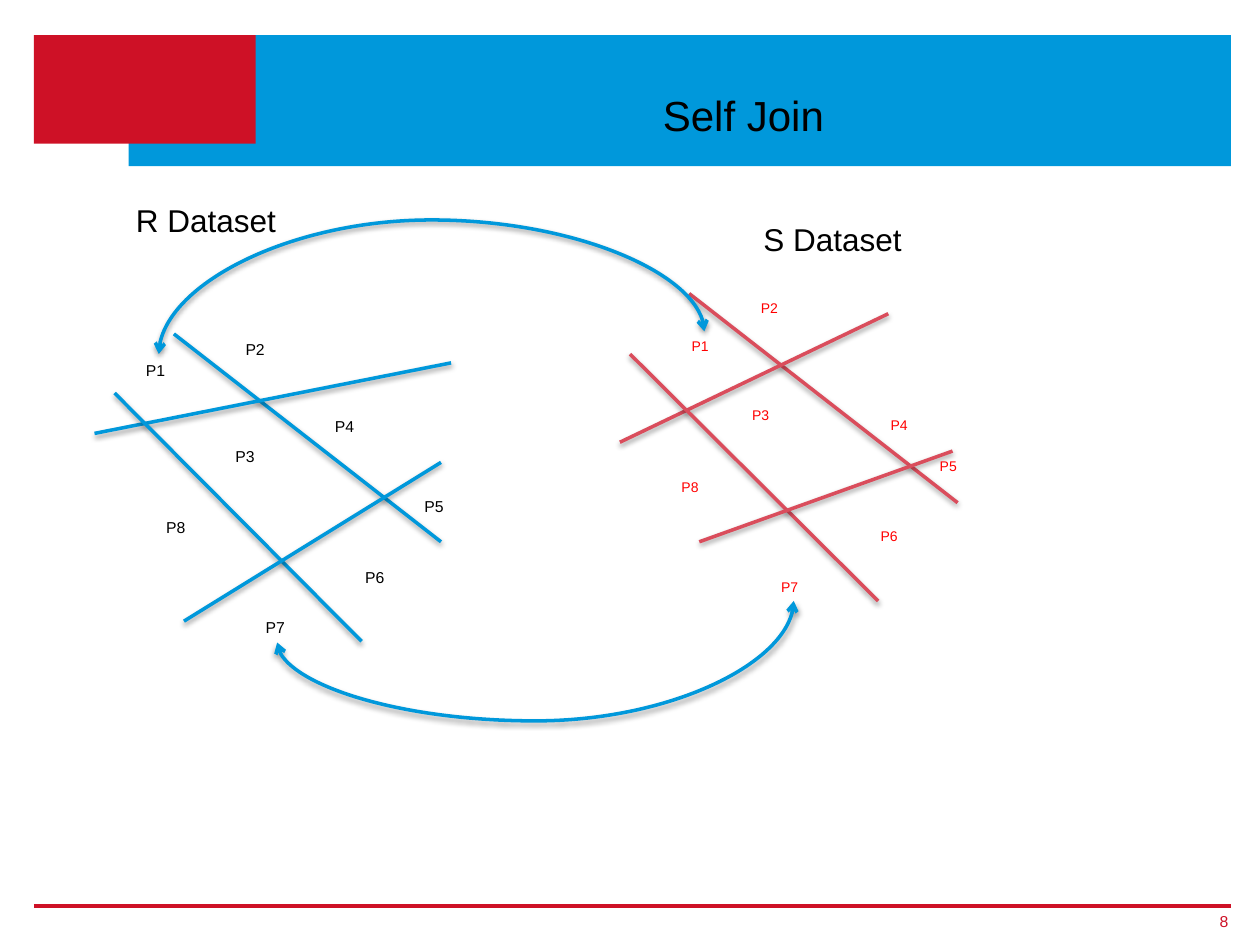
import pptx
import pptx.dml.color
import pptx.enum.shapes
import pptx.enum.text
import pptx.oxml
import pptx.oxml.ns
import pptx.util
from pptx.util import Inches

COLORS = {"blue": "0098DB", "red": "CE1126", "rose": "DA4D5C",
          "label_red": "FF0000", "black": "000000"}
ALIGN = pptx.enum.text.PP_ALIGN
ANCHOR = pptx.enum.text.MSO_ANCHOR
CONNECTOR = pptx.enum.shapes.MSO_CONNECTOR
NS = pptx.oxml.ns.nsdecls("a")
SOFT_SHADOW = (f'<a:effectLst {NS}><a:outerShdw blurRad="40000" dist="20000" dir="5400000" '
               'rotWithShape="0"><a:srgbClr val="000000"><a:alpha val="38000"/></a:srgbClr>'
               '</a:outerShdw></a:effectLst>')
NO_SHADOW = f"<a:effectLst {NS}/>"


def write(box, text, size, color="black", align=ALIGN.LEFT, anchor=ANCHOR.TOP,
          wrap=True, grow=True, margins=True):
    frame = box.text_frame
    frame.text = text
    frame.word_wrap = wrap
    frame.vertical_anchor = anchor
    fit = pptx.enum.text.MSO_AUTO_SIZE
    frame.auto_size = fit.SHAPE_TO_FIT_TEXT if grow else fit.NONE
    if not margins:
        frame.margin_left = frame.margin_right = frame.margin_top = frame.margin_bottom = 0
    paragraph = frame.paragraphs[0]
    paragraph.alignment = align
    font = paragraph.runs[0].font
    font.name = "Arial"
    font.size = pptx.util.Pt(size)
    font.color.rgb = pptx.dml.color.RGBColor.from_string(COLORS[color])
    return paragraph


def draw_line(shapes, start, end, color, width=2, kind=CONNECTOR.STRAIGHT, effect=SOFT_SHADOW):
    line = shapes.add_connector(kind, *(Inches(v) for v in (*start, *end)))
    line.line.color.rgb = pptx.dml.color.RGBColor.from_string(COLORS[color])
    line.line.width = pptx.util.Pt(width)
    line._element.spPr.append(pptx.oxml.parse_xml(effect))
    return line


prs = pptx.Presentation()
prs.slide_width, prs.slide_height = Inches(10), Inches(7.5)
slide = prs.slides.add_slide(prs.slide_layouts[5])
shapes = slide.shapes

# Header bands, footer rule, title and page number
header_bands = [((1.02, 0.28, 8.75, 1.04), "blue"), ((0.27, 0.28, 1.76, 0.86), "red")]
for place, color in header_bands:
    band = shapes.add_shape(pptx.enum.shapes.MSO_SHAPE.RECTANGLE, *map(Inches, place))
    band.shadow.inherit = False
    band.fill.solid()
    band.fill.fore_color.rgb = pptx.dml.color.RGBColor.from_string(COLORS[color])
    band.line.fill.background()
draw_line(shapes, (0.27, 7.19), (9.77, 7.19), "red", width=2.25, effect=NO_SHADOW)

title = shapes.title
title.left, title.top, title.width, title.height = map(Inches, (2.05, 0.47, 7.7, 0.69))
heading = write(title, "Self Join", 24, align=ALIGN.CENTER, anchor=ANCHOR.BOTTOM, grow=False)
heading.line_spacing = pptx.util.Pt(25)
shapes._spTree.append(title._element)  # in front of the bands

page_number = shapes.add_textbox(*map(Inches, (9.48, 7.2, 0.27, 0.23)))
write(page_number, "8", 9, "red", ALIGN.RIGHT, ANCHOR.MIDDLE, grow=False, margins=False)

# Each dataset: partition lines and the labels of the cells between them
datasets = [
    {"line_color": "blue", "label_color": "black", "size": 9, "label_height": 0.25,
     "lines": [((1.38, 2.65), (3.5, 4.3)), ((0.75, 3.44), (3.58, 2.88)),
               ((0.91, 3.12), (2.87, 5.09)), ((1.46, 4.93), (3.5, 3.67))],
     "cells": {"P1": (1.06, 2.81), "P2": (1.85, 2.65), "P4": (2.56, 3.26), "P5": (3.27, 3.89),
               "P6": (2.8, 4.46), "P7": (2.01, 4.85), "P8": (1.22, 4.06), "P3": (1.77, 3.5)}},
    {"line_color": "rose", "label_color": "label_red", "size": 8, "label_height": 0.24,
     "lines": [((5.47, 2.33), (7.6, 3.99)), ((4.92, 3.51), (7.05, 2.49)),
               ((5, 2.81), (6.97, 4.77)), ((5.55, 4.3), (7.56, 3.58))],
     "cells": {"P1": (5.39, 2.63), "P2": (5.94, 2.33), "P4": (6.97, 3.26), "P5": (7.36, 3.58),
               "P6": (6.89, 4.14), "P7": (6.1, 4.54), "P8": (5.31, 3.75), "P3": (5.87, 3.18)}},
]
for dataset in datasets:
    partition = shapes.add_group_shape().shapes
    for start, end in dataset["lines"]:
        draw_line(partition, start, end, dataset["line_color"])
    for cell, (left, top) in dataset["cells"].items():
        label = partition.add_textbox(Inches(left), Inches(top), Inches(0.39),
                                      Inches(dataset["label_height"]))
        write(label, cell, dataset["size"], dataset["label_color"])

for caption, place in [("R Dataset", (0.98, 1.55, 1.32, 0.4)),
                       ("S Dataset", (5.96, 1.7, 1.31, 0.4))]:
    write(shapes.add_textbox(*map(Inches, place)), caption, 18, wrap=False)

# Curved links between equal cells: drawn upright, then turned by a quarter
links = [((1.26, 2.81), (5.59, 2.63), 591300), ((2.2, 5.1), (6.3, 4.77), -188600)]
for (x1, y1), (x2, y2), bend in links:
    center_x, center_y = (x1 + x2) / 2, (y1 + y2) / 2
    half_width, half_height = (y1 - y2) / 2, (x2 - x1) / 2
    link = draw_line(shapes, (center_x + half_width, center_y + half_height),
                     (center_x - half_width, center_y - half_height), "blue",
                     kind=CONNECTOR.CURVE)
    properties = link._element.spPr
    properties.find(pptx.oxml.ns.qn("a:xfrm")).set("rot", "5400000")
    guides = properties.find(pptx.oxml.ns.qn("a:prstGeom")).get_or_add_avLst()
    guides.append(pptx.oxml.parse_xml(f'<a:gd {NS} name="adj1" fmla="val {bend}"/>'))
    outline = link.line._get_or_add_ln()
    for tip in ("headEnd", "tailEnd"):
        outline.append(pptx.oxml.parse_xml(f'<a:{tip} {NS} type="arrow"/>'))

prs.save("out.pptx")
